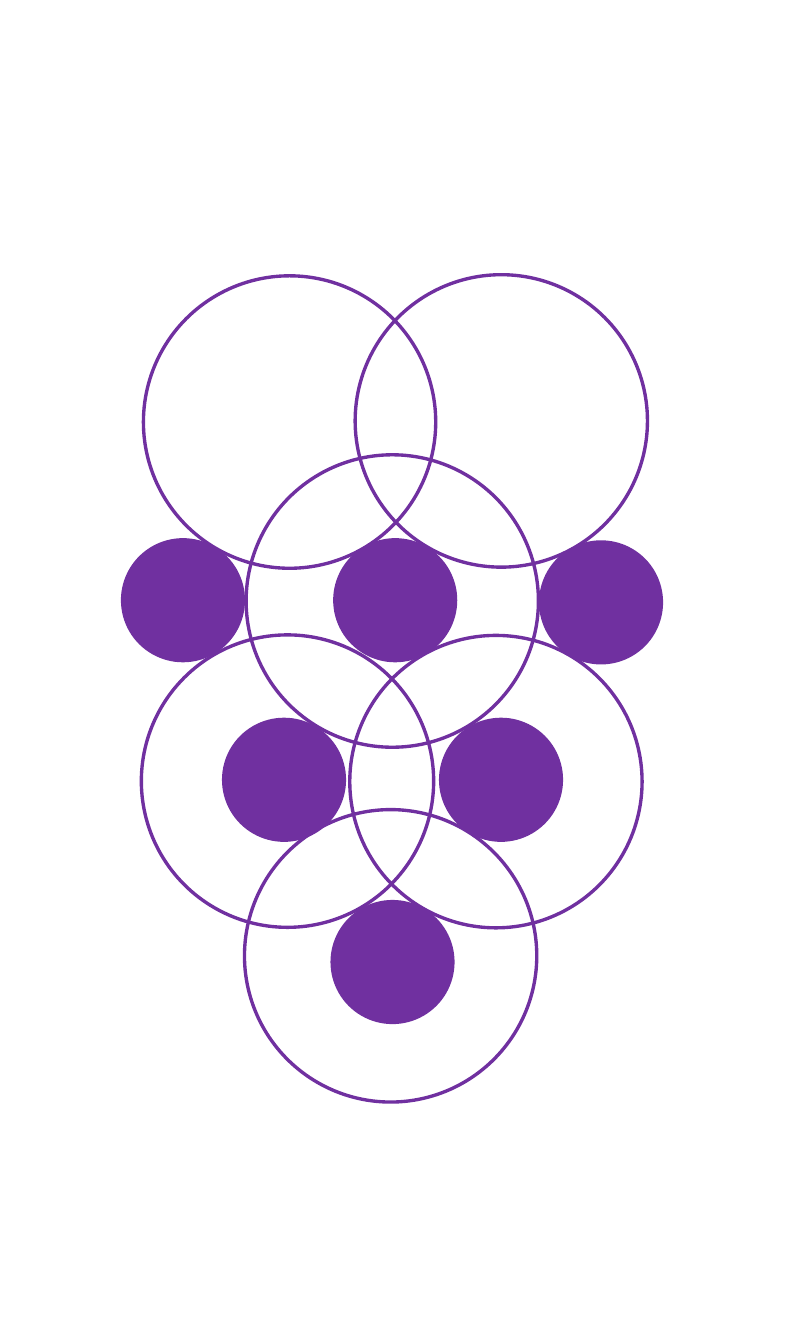
from pptx import Presentation
from pptx.dml.color import RGBColor
from pptx.enum.shapes import MSO_SHAPE
from pptx.util import Pt

PURPLE = RGBColor(0x70, 0x30, 0xA0)

SLIDE_WIDTH, SLIDE_HEIGHT = 1080, 1800
DISC_SIZE = 166.3
RING_SIZE = 391.7
RING_LINE_WIDTH = 4.5

# Left and top of each circle, in points
DISC_POSITIONS = [
    (442.8, 1205.3),
    (162, 720.7), (446.4, 720.7), (722.2, 723.6),
    (297.4, 961.2), (588.2, 961.2),
]
RING_POSITIONS = [
    (329.8, 609.1), (327.6, 1084.3),
    (192.2, 369.4), (475.9, 367.9),
    (468.7, 851), (189.4, 850.3),
]


def add_circle(slide, left, top, size):
    shape = slide.shapes.add_shape(
        MSO_SHAPE.OVAL, Pt(left), Pt(top), Pt(size), Pt(size))
    shape.shadow.inherit = False
    return shape


def add_disc(slide, left, top):
    """Add a filled circle without an outline."""
    shape = add_circle(slide, left, top, DISC_SIZE)
    shape.fill.solid()
    shape.fill.fore_color.rgb = PURPLE
    shape.line.fill.background()


def add_ring(slide, left, top):
    """Add an outlined circle without a fill."""
    shape = add_circle(slide, left, top, RING_SIZE)
    shape.fill.background()
    shape.line.color.rgb = PURPLE
    shape.line.width = Pt(RING_LINE_WIDTH)


def main():
    presentation = Presentation()
    presentation.slide_width = Pt(SLIDE_WIDTH)
    presentation.slide_height = Pt(SLIDE_HEIGHT)
    slide = presentation.slides.add_slide(presentation.slide_layouts[6])
    for left, top in DISC_POSITIONS:
        add_disc(slide, left, top)
    for left, top in RING_POSITIONS:
        add_ring(slide, left, top)
    presentation.save("out.pptx")


if __name__ == "__main__":
    main()
